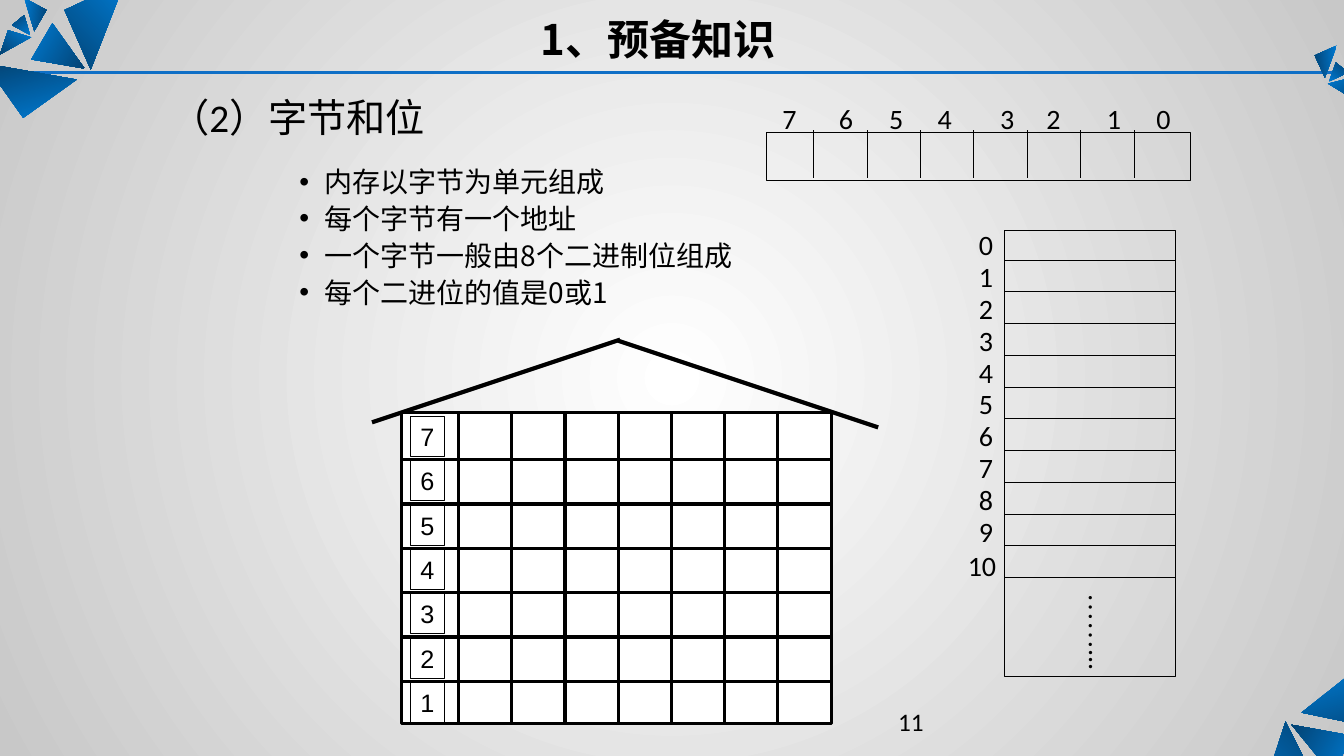
from dataclasses import dataclass

from lxml import etree
from pptx import Presentation
from pptx import util as u
from pptx.dml import color, fill
from pptx.enum import shapes, text
from pptx.oxml import ns
from pptx.shapes import autoshape, connector
from pptx.slide import Slide

COLORS = {
    "black": "000000",
    "white": "FFFFFF",
    "gray": "C8C8C8",
    "rule": "0F6FC6",
    "bright": "007BD3",
    "dark": "034373",
}
CJK = "Noto Sans CJK SC"
LATIN = "Calibri"


@dataclass(frozen=True)
class Facet:
    rotation: float
    points: tuple[tuple[float, float], ...]


@dataclass(frozen=True)
class Line:
    x1: float
    y1: float
    x2: float
    y2: float
    width: float = 0.75
    color: str = "black"


@dataclass(frozen=True)
class Box:
    left: float
    top: float
    width: float
    height: float
    line: float = 0.75
    filled: bool = False


@dataclass(frozen=True)
class Label:
    content: str
    left: float
    top: float
    width: float = 0.34
    height: float = 0.44
    size: float = 20
    font: str = LATIN
    bold: bool = False
    wrap: bool = False
    align: text.PP_ALIGN = text.PP_ALIGN.LEFT
    anchor: text.MSO_ANCHOR = text.MSO_ANCHOR.TOP


FACETS = (
    Facet(224.2, ((12.44, 8.11), (12.75, 7.16), (13.09, 7.83))),
    Facet(119.1, ((13.42, 7.3), (12.81, 7.19), (13.21, 7.68))),
    Facet(343.5, ((13.45, 6.64), (12.91, 7.07), (13.88, 7.27))),
    Facet(45.5, ((1.24, -0.18), (0.9, 0.69), (0.64, 0.1))),
    Facet(300.5, ((0.31, 0.59), (0.84, 0.68), (0.52, 0.23))),
    Facet(164.9, ((0.23, 1.17), (0.76, 0.79), (-0.15, 0.63))),
    Facet(38, ((0, 0.54), (0.31, 0.37), (0.08, 0.3))),
    Facet(143.1, ((0.24, 0.15), (0.3, 0.35), (0.12, 0.25))),
    Facet(278.7, ((0.46, 0.1), (0.34, 0.31), (0.24, -0.02))),
    Facet(325, ((13.47, 1.01), (13.17, 0.83), (13.41, 0.77))),
    Facet(219.9, ((13.25, 0.62), (13.18, 0.81), (13.37, 0.72))),
    Facet(84.3, ((13.04, 0.55), (13.14, 0.77), (13.26, 0.45))),
)
BIT_LABEL_LEFTS = (7.66, 8.22, 8.72, 9.2, 9.82, 10.28, 10.88, 11.37)
BULLETS = (
    "内存以字节为单元组成",
    "每个字节有一个地址",
    "一个字节一般由8个二进制位组成",
    "每个二进位的值是0或1",
)


def inches(value: float) -> u.Length:
    return u.Cm(value * 2.54)


def rgb(name: str) -> color.RGBColor:
    return color.RGBColor.from_string(COLORS[name])


def set_gradient(target: fill.FillFormat, first: str, last: str) -> None:
    target.gradient()
    for stop, name in zip(target.gradient_stops, (first, last)):
        stop.color.rgb = rgb(name)


def draw_background(slide: Slide) -> None:
    set_gradient(slide.background.fill, "white", "gray")
    gradient = slide.element.find(".//" + ns.qn("a:gradFill"))
    gradient.remove(gradient.find(ns.qn("a:lin")))
    circle = etree.SubElement(gradient, ns.qn("a:path"), path="circle")
    etree.SubElement(circle, ns.qn("a:fillToRect"), dict.fromkeys("ltrb", "50000"))


def draw_facet(slide: Slide, facet: Facet) -> None:
    points = [(inches(x), inches(y)) for x, y in facet.points]
    builder = slide.shapes.build_freeform(*points[0])
    builder.add_line_segments(points[1:], close=True)
    shape = builder.convert_to_shape()
    shape.shadow.inherit = False
    shape.line.fill.background()
    set_gradient(shape.fill, "bright", "dark")
    shape.fill.gradient_angle = (270 - facet.rotation) % 360


def draw_line(slide: Slide, line: Line) -> connector.Connector:
    ends = map(inches, (line.x1, line.y1, line.x2, line.y2))
    shape = slide.shapes.add_connector(shapes.MSO_CONNECTOR.STRAIGHT, *ends)
    shape.line.color.rgb = rgb(line.color)
    shape.line.width = u.Pt(line.width)
    etree.SubElement(shape.element.spPr, ns.qn("a:effectLst"))
    return shape


def draw_box(slide: Slide, box: Box) -> autoshape.Shape:
    frame = map(inches, (box.left, box.top, box.width, box.height))
    shape = slide.shapes.add_shape(shapes.MSO_SHAPE.RECTANGLE, *frame)
    shape.shadow.inherit = False
    shape.line.color.rgb = rgb("black")
    shape.line.width = u.Pt(box.line)
    if box.filled:
        shape.fill.solid()
        shape.fill.fore_color.rgb = rgb("white")
    else:
        shape.fill.background()
    return shape


def write(shape: autoshape.Shape, label: Label) -> autoshape.Shape:
    frame = shape.text_frame
    frame.text = label.content
    frame.word_wrap = label.wrap
    frame.vertical_anchor = label.anchor
    if not label.wrap:
        frame.auto_size = text.MSO_AUTO_SIZE.SHAPE_TO_FIT_TEXT
    for paragraph in frame.paragraphs:
        paragraph.alignment = label.align
        for run in paragraph.runs:
            run.font.name = label.font
            run.font.size = u.Pt(label.size)
            run.font.bold = label.bold
            run.font.color.rgb = rgb("black")
            if label.wrap:
                etree.SubElement(run.font._element, ns.qn("a:ea"), typeface=CJK)
    return shape


def draw_label(slide: Slide, label: Label) -> autoshape.Shape:
    frame = map(inches, (label.left, label.top, label.width, label.height))
    return write(slide.shapes.add_textbox(*frame), label)


def draw_bullets(slide: Slide) -> None:
    label = Label("\n".join(BULLETS), 1.87, 1.62, 9.3, 2.52, font=CJK, wrap=True)
    shape = draw_label(slide, label)
    for index, paragraph in enumerate(shape.text_frame.paragraphs):
        properties = paragraph._p.get_or_add_pPr()
        properties.set("marL", str(inches(1.25)))
        properties.set("indent", str(inches(-0.25)))
        etree.SubElement(properties, ns.qn("a:buFont"), typeface="Arial")
        etree.SubElement(properties, ns.qn("a:buChar"), char="•")
        paragraph.line_spacing = u.Pt(21.4)
        paragraph.space_before = u.Pt(5 if index else 0)


def draw_byte(slide: Slide) -> None:
    draw_box(slide, Box(7.6, 1.31, 4.21, 0.48))
    for index in range(7):
        x = 8.07 + 0.53 * index
        draw_line(slide, Line(x, 1.29, x, 1.77))
    for index, left in enumerate(BIT_LABEL_LEFTS):
        draw_label(slide, Label(str(7 - index), left, 0.95, align=text.PP_ALIGN.CENTER,
                                anchor=text.MSO_ANCHOR.MIDDLE))


def draw_memory(slide: Slide) -> None:
    draw_box(slide, Box(9.96, 2.29, 1.7, 4.42))
    for index in range(11):
        y = 2.58 + 0.315 * index
        draw_line(slide, Line(9.96, y, 11.66, y))
    for address in range(10):
        draw_label(slide, Label(str(address), 9.61, 2.21 + 0.316 * address))
    draw_label(slide, Label("10", 9.5, 5.39, 0.48))
    dots = draw_label(slide, Label("……", 10.59, 5.79, 0.54, 0.87, font="Times New Roman"))
    dots.element.find(".//" + ns.qn("a:bodyPr")).set("vert", "eaVert")
    tail = dots.text_frame.paragraphs[0].add_run()
    tail.text = "..."
    tail.font.name = LATIN
    tail.font.size = u.Pt(20)
    tail.font.color.rgb = rgb("black")


def draw_house(slide: Slide) -> None:
    draw_line(slide, Line(6.15, 3.37, 3.69, 4.19, 3))
    draw_line(slide, Line(6.13, 3.38, 8.71, 4.24, 3))
    draw_box(slide, Box(3.98, 4.09, 4.27, 3.09, 2.25, True))
    for index in range(6):
        y = 4.56 + 0.44 * index
        draw_line(slide, Line(3.99, y, 8.26, y, 2.25))
    for index in range(7):
        x = 4.55 + 0.527 * index
        draw_line(slide, Line(x, 4.09, x, 7.19, 2.25))
    for index in range(7):
        box = Box(4.07, 4.13 + 0.44 * index, 0.34, 0.4)
        write(draw_box(slide, box),
              Label(str(7 - index), box.left, box.top, size=18, font="Arial"))


def main() -> None:
    presentation = Presentation()
    presentation.slide_width = inches(13.33)
    presentation.slide_height = inches(7.5)
    slide = presentation.slides.add_slide(presentation.slide_layouts[6])
    draw_background(slide)
    draw_line(slide, Line(0.03, 0.72, 13.38, 0.72, 2.25, "rule"))
    for facet in FACETS:
        draw_facet(slide, facet)
    draw_label(slide, Label("11", 8.81, 6.96, 2.08, 0.5, 18, wrap=True))
    draw_bullets(slide)
    draw_byte(slide)
    draw_memory(slide)
    draw_house(slide)
    draw_label(slide, Label("1、预备知识", 0.8, 0.08, 11.45, 0.61, 30, CJK, True, True,
                            text.PP_ALIGN.CENTER))
    draw_label(slide, Label("（2）字节和位", 1.59, 0.77, 8.5, 0.67, 28, wrap=True,
                            anchor=text.MSO_ANCHOR.BOTTOM))
    presentation.save("out.pptx")


if __name__ == "__main__":
    main()
